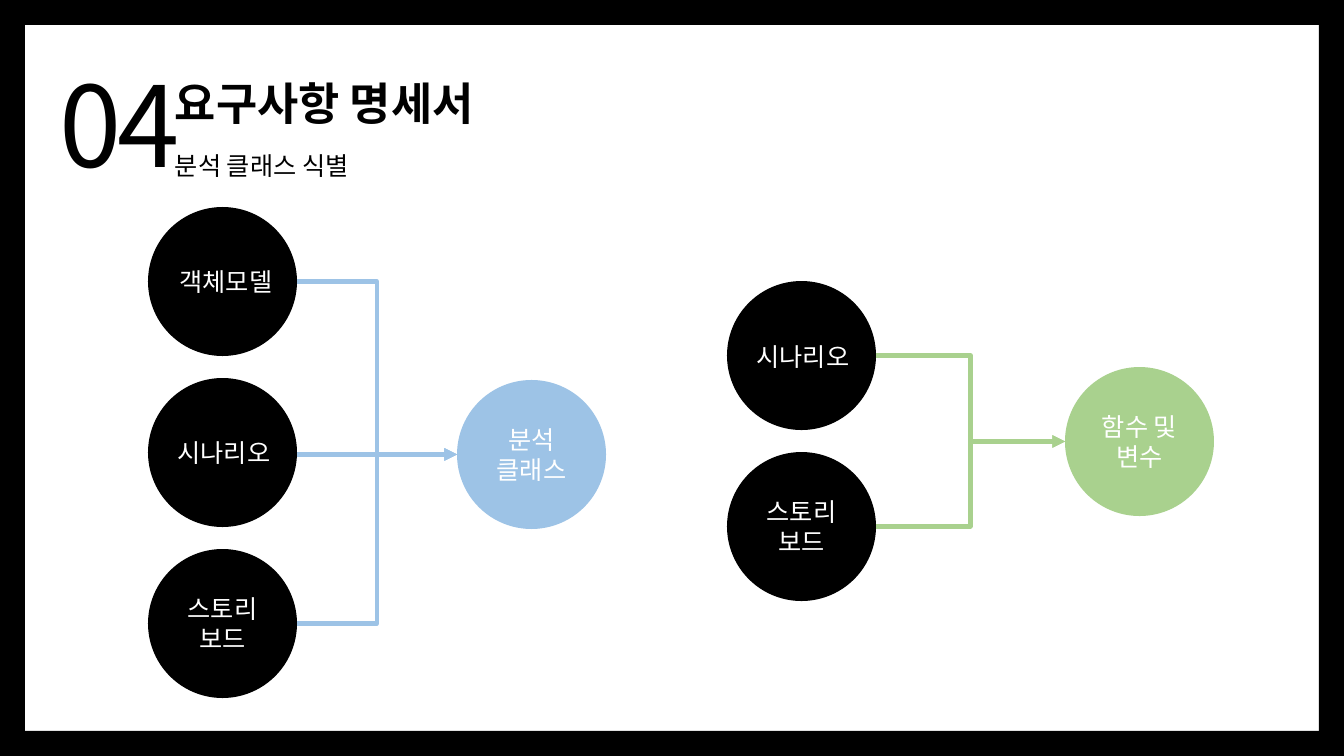
from lxml import etree
from pptx import Presentation
from pptx.dml.color import RGBColor
from pptx.enum.shapes import MSO_CONNECTOR, MSO_SHAPE
from pptx.enum.text import MSO_ANCHOR, PP_ALIGN
from pptx.oxml.ns import qn
from pptx.util import Emu, Pt

RECT, OVAL = MSO_SHAPE.RECTANGLE, MSO_SHAPE.OVAL
ELBOW, LINE = MSO_CONNECTOR.ELBOW, MSO_CONNECTOR.STRAIGHT
LEFT, CENTER = PP_ALIGN.LEFT, PP_ALIGN.CENTER
TOP, MIDDLE = MSO_ANCHOR.TOP, MSO_ANCHOR.MIDDLE

THEME = {
    "font": "Noto Sans CJK KR",
    "black": "000000", "white": "FFFFFF", "blue": "9DC3E6", "green": "A9D18E",
    "huge": 80, "title": 32, "body": 18, "line": 3,
}
WIDE, HIGH, EDGE = 1344, 756, 25
SIZE, STEP = 149, 171

FRAME = [
    (0, 0, EDGE, HIGH),
    (WIDE - EDGE, 0, EDGE, HIGH),
    (12, 0, 1322, EDGE),
    (14, HIGH - EDGE, 1322, EDGE),
]
HEADS = [
    ("04", (50, 50, 186, 146), {"size": "huge", "anchor": MIDDLE, "space": -300}),
    ("요구사항 명세서", (165, 71, 376, 65), {"size": "title", "bold": True}),
    ("분석 클래스 식별", (165, 145, 291, 40), {}),
]
FLOWS = [
    {"at": (148, 207), "goal": (457, 380), "color": "blue", "result": "분석\n클래스",
     "parts": [("객체모델", (98, 261, 256, 40)),
               ("시나리오", (163, 432, 122, 40)),
               ("스토리 보드", None)]},
    {"at": (727, 281), "goal": (1065, 367), "color": "green", "result": "함수 및 변수",
     "parts": [("시나리오", (742, 336, 122, 40)),
               ("스토리 보드", None)]},
]


def px(n):
    return Emu(round(n * 12192000 / WIDE))


def rgb(name):
    return RGBColor.from_string(THEME[name])


def write(shape, text, size="body", color="black", bold=False,
          align=LEFT, anchor=TOP, space=None):
    frame = shape.text_frame
    frame.word_wrap = True
    frame.vertical_anchor = anchor
    frame.text = text
    for para in frame.paragraphs:
        para.alignment = align
        for run in para.runs:
            font = run.font
            font.name, font.size, font.bold = THEME["font"], Pt(THEME[size]), bold
            font.color.rgb = rgb(color)
            props = run._r.get_or_add_rPr()
            etree.SubElement(props, qn("a:ea")).set("typeface", THEME["font"])
            if space is not None:
                props.set("spc", str(space))


def label(slide, text, box, **style):
    write(slide.shapes.add_textbox(*map(px, box)), text, **style)


def block(slide, kind, box, color="black"):
    shape = slide.shapes.add_shape(kind, *map(px, box))
    shape.shadow.inherit = False
    shape.fill.solid()
    shape.fill.fore_color.rgb = rgb(color)
    shape.line.fill.background()
    return shape


def arrow(slide, start, end, color):
    x, y = start
    if abs(y - end[1]) < 5:
        kind, y = LINE, end[1]
    else:
        kind = ELBOW
    link = slide.shapes.add_connector(kind, px(x), px(y), *map(px, end))
    link.line.color.rgb = rgb(color)
    link.line.width = Pt(THEME["line"])
    etree.SubElement(link.line._get_or_add_ln(), qn("a:tailEnd")).set("type", "triangle")
    etree.SubElement(link._element.spPr, qn("a:effectLst"))


def draw(slide, flow):
    left, top = flow["at"]
    x, y = flow["goal"]
    color = flow["color"]
    style = {"color": "white", "align": CENTER}
    for i, (text, box) in enumerate(flow["parts"]):
        row = top + i * STEP
        arrow(slide, (left + SIZE, row + SIZE / 2), (x, y + SIZE / 2), color)
        ball = block(slide, OVAL, (left, row, SIZE, SIZE))
        if box:
            label(slide, text, box, **style)
        else:
            write(ball, text, anchor=MIDDLE, **style)
    goal = block(slide, OVAL, (x, y, SIZE, SIZE), color)
    write(goal, flow["result"], anchor=MIDDLE, **style)


def main():
    deck = Presentation()
    deck.slide_width, deck.slide_height = px(WIDE), px(HIGH)
    slide = deck.slides.add_slide(deck.slide_layouts[6])
    for box in FRAME:
        block(slide, RECT, box)
    for text, box, style in HEADS:
        label(slide, text, box, **style)
    for flow in FLOWS:
        draw(slide, flow)
    deck.save("out.pptx")


if __name__ == "__main__":
    main()
